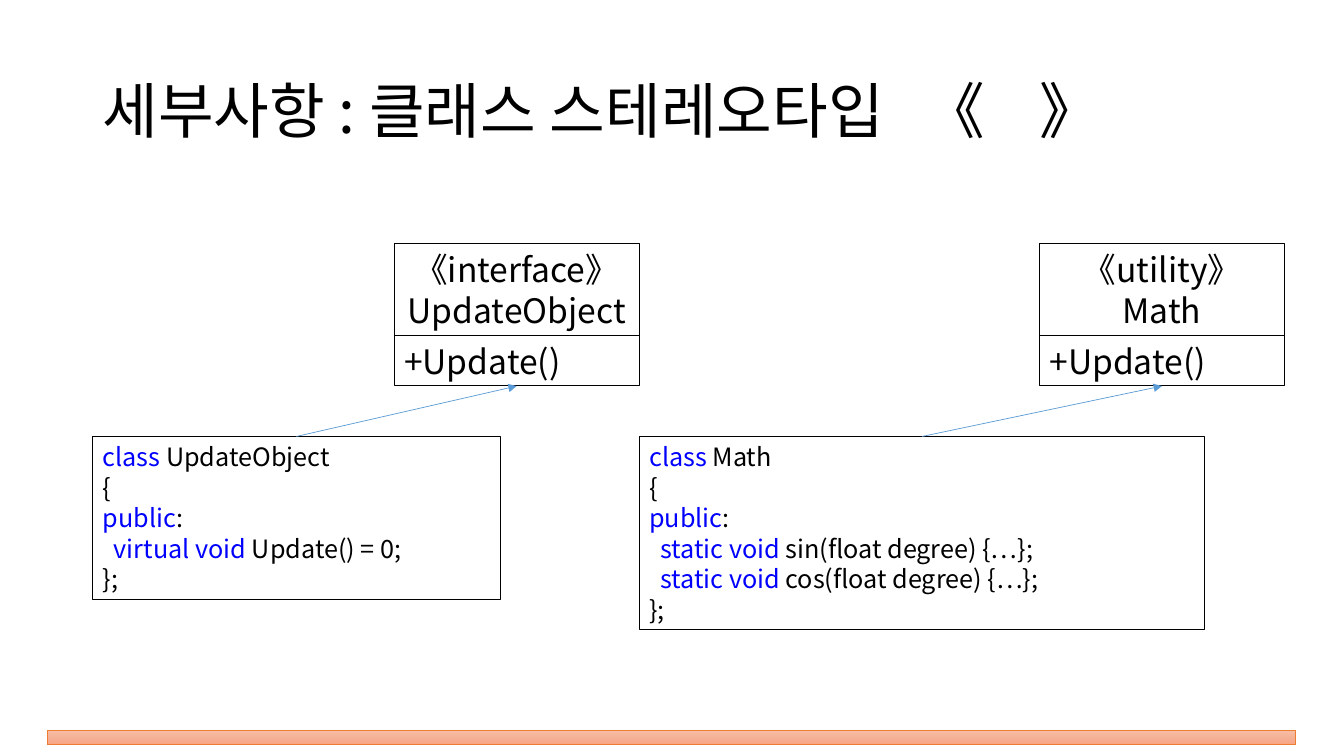
from copy import deepcopy

from lxml.etree import SubElement
from pptx import Presentation
from pptx.dml.color import RGBColor
from pptx.enum.shapes import MSO_CONNECTOR, MSO_SHAPE
from pptx.enum.text import MSO_ANCHOR, PP_ALIGN
from pptx.oxml.ns import qn
from pptx.util import Inches, Pt

FONT = "Noto Sans CJK KR"
COLORS = {
    "text": "000000",
    "keyword": "0000FF",
    "arrow": "5B9BD5",
    "bar_line": "ED7D31",
    "bar_fill": ("F7BDA5", "F5B196", "F8A582"),
}
TITLE = "세부사항 : 클래스 스테레오타입   《    》"

# Code lines: (indent level, keyword part, plain part)
DIAGRAMS = [
    {
        "class_left": 3.91,
        "heading": ["《interface》", "UpdateObject"],
        "method": "+Update()",
        "code_box": (0.92, 4.33, 4.04, 1.62),
        "code": [
            (0, "class ", "UpdateObject"),
            (0, "", "{"),
            (0, "public", ":"),
            (1, "virtual void ", "Update() = 0;"),
            (0, "", "};"),
        ],
    },
    {
        "class_left": 10.31,
        "heading": ["《utility》", "Math"],
        "method": "+Update()",
        "code_box": (6.34, 4.33, 5.61, 1.92),
        "code": [
            (0, "class ", "Math"),
            (0, "", "{"),
            (0, "public", ":"),
            (1, "static void ", "sin(float degree) {…};"),
            (1, "static void ", "cos(float degree) {…};"),
            (0, "", "};"),
        ],
    },
]
CLASS_TOP, CLASS_WIDTH = 2.42, 2.43
HEADING_HEIGHT, METHOD_HEIGHT = 0.91, 0.5
CODE_INDENT = 0.11
LINE_PITCH = 1.21


def color(name):
    return RGBColor.from_string(COLORS[name])


def add_run(paragraph, text, color_name="text"):
    """Add a run whose Latin and East Asian fonts are both FONT."""
    run = paragraph.add_run()
    run.text = text
    run.font.name = FONT
    run.font.color.rgb = color(color_name)
    SubElement(run.font._element, qn("a:ea")).set("typeface", FONT)


def add_box(slide, left, top, width, height):
    box = slide.shapes.add_shape(
        MSO_SHAPE.RECTANGLE, *map(Inches, (left, top, width, height)))
    box.shadow.inherit = False
    box.fill.background()
    box.line.color.rgb = color("text")
    box.line.width = Pt(0.75)
    box.text_frame.word_wrap = True
    box.text_frame.vertical_anchor = MSO_ANCHOR.TOP
    return box


def fill_lines(box, lines, size, alignment=PP_ALIGN.LEFT):
    """Write one paragraph per (indent level, keyword part, plain part)."""
    frame = box.text_frame
    for index, (level, keyword, plain) in enumerate(lines):
        paragraph = frame.add_paragraph() if index else frame.paragraphs[0]
        paragraph.alignment = alignment
        paragraph.font.size = Pt(size)
        paragraph.line_spacing = Pt(round(size * LINE_PITCH, 1))
        if level:
            indent = Inches(CODE_INDENT * level)
            paragraph._p.get_or_add_pPr().set("marL", str(indent))
        if keyword:
            add_run(paragraph, keyword, "keyword")
        add_run(paragraph, plain)


def add_arrow(slide, code_box, method_box):
    arrow = slide.shapes.add_connector(MSO_CONNECTOR.STRAIGHT, 0, 0, 0, 0)
    arrow.begin_connect(code_box, 0)
    arrow.end_connect(method_box, 2)
    arrow.line.color.rgb = color("arrow")
    arrow.line.width = Pt(0.5)
    SubElement(arrow.line._get_or_add_ln(), qn("a:tailEnd")).set("type", "triangle")
    SubElement(arrow._element.spPr, qn("a:effectLst"))


def add_title(slide):
    title = slide.shapes.add_textbox(*map(Inches, (0.92, 0.4, 11.5, 1.45)))
    title.text_frame.word_wrap = True
    title.text_frame.vertical_anchor = MSO_ANCHOR.MIDDLE
    paragraph = title.text_frame.paragraphs[0]
    paragraph.font.size = Pt(43.2)
    paragraph.line_spacing = 0.9
    add_run(paragraph, TITLE)


def add_bottom_bar(slide):
    bar = add_box(slide, 0.47, 7.25, 12.38, 0.14)
    bar.line.color.rgb = color("bar_line")
    bar.line.width = Pt(0.5)
    bar.fill.gradient()
    bar.fill.gradient_angle = 270
    first_stop = bar.fill.gradient_stops[0]._gs
    first_stop.addnext(deepcopy(first_stop))
    for index, stop in enumerate(bar.fill.gradient_stops):
        stop.position = index / 2
        stop.color.rgb = RGBColor.from_string(COLORS["bar_fill"][index])


def add_diagram(slide, diagram):
    left = diagram["class_left"]
    heading_box = add_box(slide, left, CLASS_TOP, CLASS_WIDTH, HEADING_HEIGHT)
    heading = [(0, "", text) for text in diagram["heading"]]
    fill_lines(heading_box, heading, 24, PP_ALIGN.CENTER)

    method_top = CLASS_TOP + HEADING_HEIGHT
    method_box = add_box(slide, left, method_top, CLASS_WIDTH, METHOD_HEIGHT)
    fill_lines(method_box, [(0, "", diagram["method"])], 24)

    code_box = add_box(slide, *diagram["code_box"])
    fill_lines(code_box, diagram["code"], 18)
    add_arrow(slide, code_box, method_box)


def main():
    presentation = Presentation()
    presentation.slide_width = Inches(13.33)
    presentation.slide_height = Inches(7.5)
    slide = presentation.slides.add_slide(presentation.slide_layouts[6])
    add_title(slide)
    add_bottom_bar(slide)
    for diagram in DIAGRAMS:
        add_diagram(slide, diagram)
    presentation.save("out.pptx")


if __name__ == "__main__":
    main()
